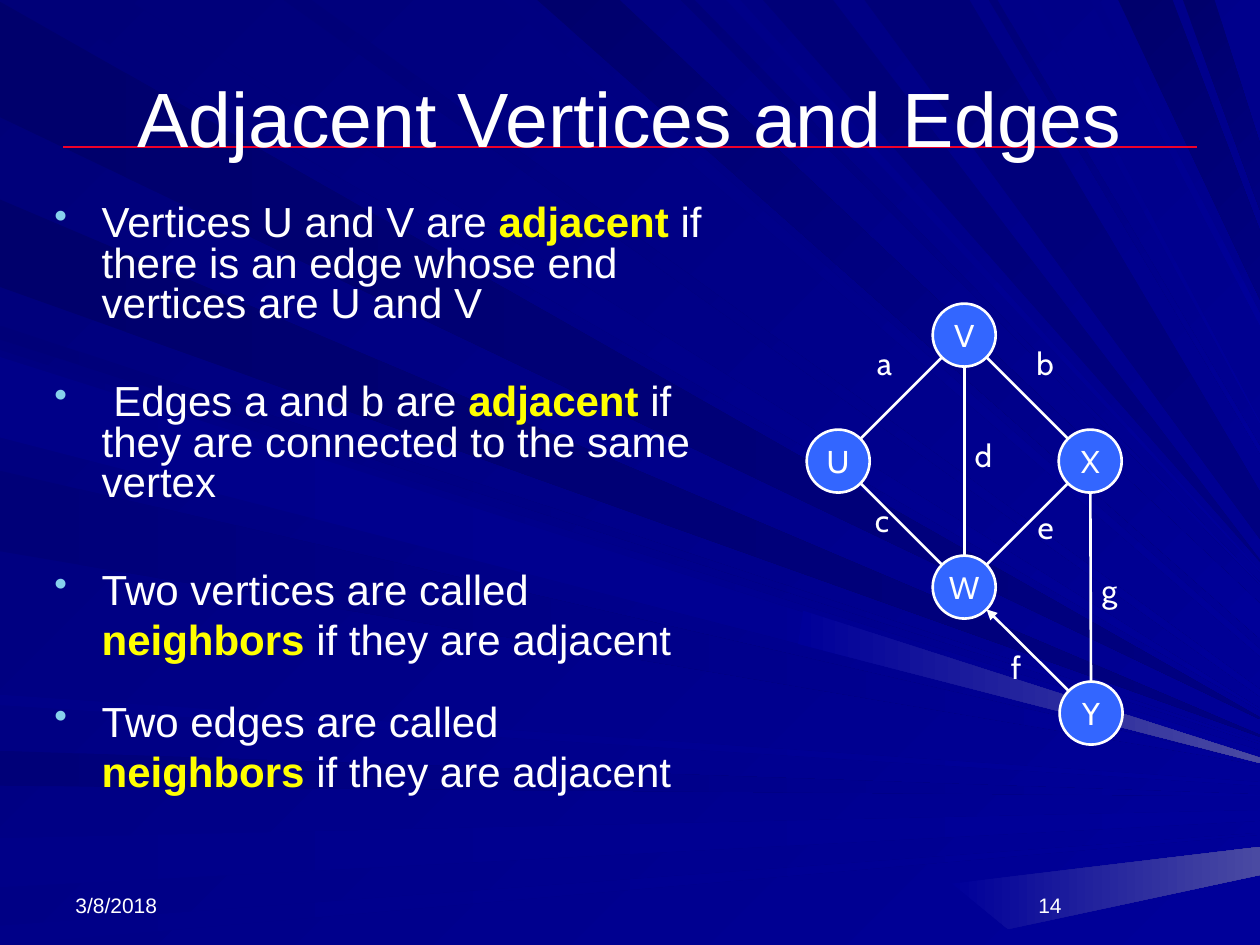
from dataclasses import dataclass
from math import hypot

from pptx import Presentation
from pptx.dml.color import RGBColor
from pptx.enum.shapes import MSO_CONNECTOR, MSO_SHAPE
from pptx.enum.text import MSO_ANCHOR, PP_ALIGN
from pptx.oxml.ns import qn
from pptx.util import Pt

STRAIGHT, OVAL = MSO_CONNECTOR.STRAIGHT, MSO_SHAPE.OVAL
LEFT, CENTER = PP_ALIGN.LEFT, PP_ALIGN.CENTER
TOP, MIDDLE, BOTTOM = MSO_ANCHOR.TOP, MSO_ANCHOR.MIDDLE, MSO_ANCHOR.BOTTOM

WHITE = RGBColor(0xFF, 0xFF, 0xFF)
YELLOW = RGBColor(0xFF, 0xFF, 0x00)
NODE_BLUE = RGBColor(0x33, 0x66, 0xFF)
RULE_RED = RGBColor(0xEF, 0x01, 0x29)
DEEP = RGBColor(0x00, 0x00, 0x6C)
MID = RGBColor(0x00, 0x00, 0x78)
NAVY = RGBColor(0x00, 0x00, 0x80)
SOFT = RGBColor(0x00, 0x00, 0x88)
BLUE = RGBColor(0x00, 0x00, 0x99)
GLOW = RGBColor(0x4A, 0x4A, 0xA2)
BULLET_COLOR = "86D1EC"

SLIDE_WIDTH, SLIDE_HEIGHT = 720, 540
NODE_RADIUS = 18
LABEL_WIDTH, LABEL_HEIGHT = 28, 36


@dataclass
class Ray:
    """A beam from a span of the top or left side to the right side."""
    near: float
    far: float
    tip: float
    tip_height: float
    start: RGBColor
    end: RGBColor = BLUE


@dataclass
class Edge:
    start: str
    end: str
    label: str
    label_center: tuple[float, float]
    arrow_at_start: bool = False


@dataclass
class Bullet:
    before: str
    keyword: str
    after: str
    line_spacing: float
    space_before: float
    space_after: float = 0


LEFT_RAYS = [
    Ray(1, 67, 410, 1, DEEP, NAVY),
    Ray(429, 449, 454, 1, MID),
    Ray(479, 507, 463, 6, SOFT),
    Ray(529, 540, 476, 1, SOFT),
    Ray(186, 194, 424, 1, MID),
    Ray(114, 164, 420, 1, DEEP, NAVY),
    Ray(200, 246, 429, 4, NAVY),
    Ray(269, 315, 436, 1, MID),
    Ray(397, 403, 447, 2, SOFT),
    Ray(204, 250, 433, 3, SOFT),
]
TOP_RAYS = [
    Ray(19, 73, 405, 1, MID),
    Ray(287, 300, 371, 4, NAVY),
    Ray(307, 354, 345, 20, DEEP),
    Ray(389, 397, 333, 1, MID),
    Ray(436, 476, 320, 1, MID, NAVY),
    Ray(639, 670, 132, 39, DEEP, NAVY),
    Ray(676, 694, 82, 38, DEEP, NAVY),
    Ray(162, 178, 394, 4, MID),
    Ray(415, 423, 326, 1, SOFT),
    Ray(494, 554, 281, 27, MID, NAVY),
    Ray(565, 570, 255, 4, MID),
    Ray(587, 593, 241, 1, SOFT),
    Ray(623, 628, 179, 7, SOFT),
]
GLOWS = [
    [(544, 505), (720, 484), (720, 500), (576, 531)],
    [(459, 349), (720, 433), (720, 436), (456, 368)],
]

VERTICES = {"X": (623, 263.5), "U": (479, 263.5), "V": (551, 191.5),
            "W": (551, 335.5), "Y": (623.5, 407.5)}
EDGES = [
    Edge("V", "U", "a", (505.4, 211)),
    Edge("W", "U", "c", (504, 301)),
    Edge("W", "X", "e", (597.6, 304.6)),
    Edge("V", "X", "b", (597.2, 211)),
    Edge("V", "W", "d", (562, 263.5)),
    Edge("W", "Y", "f", (580.7, 384.5), arrow_at_start=True),
    Edge("X", "Y", "g", (634, 340.6)),
]
BULLETS = [
    Bullet("Vertices U and V are ", "adjacent", " if there is an edge whose end vertices are U and V", 0.8, 0),
    Bullet(" Edges a and b are ", "adjacent", " if they are connected to the same vertex", 0.8, 33),
    Bullet("Two vertices are called ", "neighbors ", "if they are adjacent", 1, 33, 12),
    Bullet("Two edges are called ", "neighbors", " if they are adjacent", 1, 5.8, 12),
]


def fill_gradient(fill, start: RGBColor, end: RGBColor, angle: int) -> None:
    """Run the gradient at an angle counted clockwise."""
    fill.gradient()
    fill.gradient_angle = (360 - angle) % 360
    for stop, color in zip(fill.gradient_stops, (start, end)):
        stop.color.rgb = color


def draw_beam(slide, outline, start: RGBColor, end: RGBColor, angle: int) -> None:
    first, *rest = [(Pt(x), Pt(y)) for x, y in outline]
    builder = slide.shapes.build_freeform(*first)
    builder.add_line_segments(rest, close=True)
    beam = builder.convert_to_shape()
    beam.shadow.inherit = False
    beam.line.fill.background()
    fill_gradient(beam.fill, start, end, angle)


def draw_ray(slide, ray: Ray, from_top: bool) -> None:
    tip = [(SLIDE_WIDTH, ray.tip), (SLIDE_WIDTH, ray.tip + ray.tip_height)]
    if from_top:
        base, angle = [(ray.near, 0), (ray.far, 0)], 45
    else:
        base, angle = [(0, ray.far), (0, ray.near)], 0
    draw_beam(slide, base + tip, ray.start, ray.end, angle)


def draw_line(slide, start, end, color: RGBColor, width: float, arrow_at_start=False) -> None:
    line = slide.shapes.add_connector(STRAIGHT, *(Pt(v) for v in (*start, *end)))
    line.line.color.rgb = color
    line.line.width = Pt(width)
    properties = line.element.spPr
    if arrow_at_start:
        stroke = properties.find(qn("a:ln"))
        stroke.append(stroke.makeelement(qn("a:headEnd"), {"type": "triangle"}))
    properties.append(properties.makeelement(qn("a:effectLst"), {}))


def set_text(frame, text: str, size: float, font: str, align, anchor, wrap=True) -> None:
    frame.word_wrap = wrap
    frame.vertical_anchor = anchor
    paragraph = frame.paragraphs[0]
    paragraph.text = text
    paragraph.alignment = align
    paragraph.font.size = Pt(size)
    paragraph.font.name = font
    paragraph.font.color.rgb = WHITE


def add_label(slide, box, *text_format, **options) -> None:
    label = slide.shapes.add_textbox(*(Pt(v) for v in box))
    set_text(label.text_frame, *text_format, **options)


def draw_vertex(slide, name: str, center) -> None:
    x, y = center
    node = slide.shapes.add_shape(OVAL, Pt(x - NODE_RADIUS), Pt(y - NODE_RADIUS),
                                  Pt(2 * NODE_RADIUS), Pt(2 * NODE_RADIUS))
    node.shadow.inherit = False
    node.fill.solid()
    node.fill.fore_color.rgb = NODE_BLUE
    node.line.color.rgb = WHITE
    node.line.width = Pt(1.5)
    set_text(node.text_frame, name, 18, "Cabin", CENTER, MIDDLE, wrap=False)


def draw_edge(slide, edge: Edge) -> None:
    (x1, y1), (x2, y2) = VERTICES[edge.start], VERTICES[edge.end]
    ratio = NODE_RADIUS / hypot(x2 - x1, y2 - y1)
    dx, dy = (x2 - x1) * ratio, (y2 - y1) * ratio
    draw_line(slide, (x1 + dx, y1 + dy), (x2 - dx, y2 - dy), WHITE, 1.5, edge.arrow_at_start)
    x, y = edge.label_center
    add_label(slide, (x - LABEL_WIDTH / 2, y - LABEL_HEIGHT / 2, LABEL_WIDTH, LABEL_HEIGHT),
              edge.label, 18, "Cabin", CENTER, TOP, wrap=False)


def write_bullet(paragraph, bullet: Bullet) -> None:
    properties = paragraph._p.get_or_add_pPr()
    properties.set("marL", str(Pt(27)))
    properties.set("indent", str(-Pt(27)))
    paragraph.line_spacing = bullet.line_spacing
    paragraph.space_before = Pt(bullet.space_before)
    paragraph.space_after = Pt(bullet.space_after)
    color = properties.makeelement(qn("a:buClr"), {})
    color.append(color.makeelement(qn("a:srgbClr"), {"val": BULLET_COLOR}))
    properties.append(color)
    properties.append(properties.makeelement(qn("a:buSzPct"), {"val": "90000"}))
    properties.append(properties.makeelement(qn("a:buChar"), {"char": "•"}))
    paragraph.font.size = Pt(24)
    paragraph.font.name = "Arial"
    for text in (bullet.before, bullet.keyword, bullet.after):
        run = paragraph.add_run()
        run.text = text
        run.font.bold = text == bullet.keyword
        run.font.color.rgb = YELLOW if text == bullet.keyword else WHITE


def main() -> None:
    deck = Presentation()
    deck.slide_width, deck.slide_height = Pt(SLIDE_WIDTH), Pt(SLIDE_HEIGHT)
    slide = deck.slides.add_slide(deck.slide_layouts[5])

    # Background with light rays and the rule under the title
    fill_gradient(slide.background.fill, MID, BLUE, 45)
    for rays, from_top in ((LEFT_RAYS, False), (TOP_RAYS, True)):
        for ray in rays:
            draw_ray(slide, ray, from_top)
    for outline in GLOWS:
        draw_beam(slide, outline, BLUE, GLOW, 0)
    draw_line(slide, (36, 84), (684, 84), RULE_RED, 0.75)

    # Title, brought in front of the rays
    title = slide.shapes.title
    title.left, title.top, title.width, title.height = Pt(36), Pt(21.6), Pt(648), Pt(90)
    set_text(title.text_frame, "Adjacent Vertices and Edges", 44, "Arial", CENTER, MIDDLE)
    title.element.getparent().append(title.element)

    # Definitions
    definitions = slide.shapes.add_textbox(Pt(24), Pt(114), Pt(384), Pt(312)).text_frame
    definitions.word_wrap = True
    for number, bullet in enumerate(BULLETS):
        write_bullet(definitions.add_paragraph() if number else definitions.paragraphs[0], bullet)

    # Graph
    for name, center in VERTICES.items():
        draw_vertex(slide, name, center)
    for edge in EDGES:
        draw_edge(slide, edge)

    # Date and slide number
    add_label(slide, (36, 492, 168, 36), "3/8/2018", 12, "Arial", LEFT, BOTTOM)
    add_label(slide, (516, 492, 168, 36), "14", 12, "Arial", CENTER, BOTTOM)

    deck.save("out.pptx")


if __name__ == "__main__":
    main()
